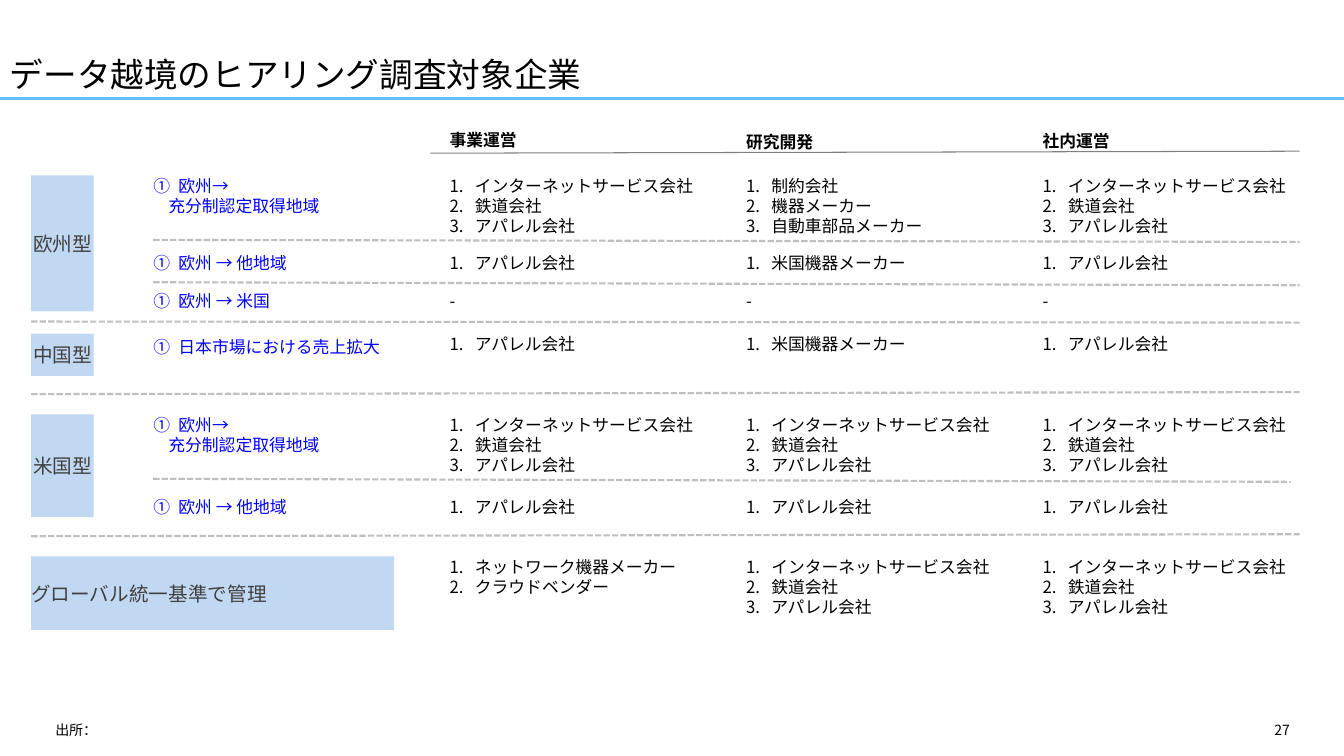
import pptx
import pptx.util
import pptx.dml.color
import pptx.enum.dml
import pptx.enum.shapes
import pptx.enum.text
from lxml import etree

PX = 9144  # 100 px to the inch
FONT = "Noto Sans CJK JP"
A = "{http://schemas.openxmlformats.org/drawingml/2006/main}"
ALIGN = pptx.enum.text.PP_ALIGN
ANCHOR = pptx.enum.text.MSO_ANCHOR

deck = pptx.Presentation()
deck.slide_width, deck.slide_height = 1333 * PX, 750 * PX
slide = deck.slides.add_slide(deck.slide_layouts[6])
shapes = slide.shapes


def tint(code):
    return pptx.dml.color.RGBColor.from_string(code)


def write(text, x, y, w, h, size=12, color="000000", bold=False, fill=None,
          align=ALIGN.LEFT, anchor=ANCHOR.TOP, pad=(0, 0), wrap=True,
          grow=False, bullet=None, spacing=None):
    area = [n * PX for n in (x, y, w, h)]
    if fill:
        box = shapes.add_shape(pptx.enum.shapes.MSO_SHAPE.RECTANGLE, *area)
        box.shadow.inherit = False
        box.fill.solid()
        box.fill.fore_color.rgb = tint(fill)
        box.line.fill.background()
    else:
        box = shapes.add_textbox(*area)
    frame = box.text_frame
    frame.word_wrap = wrap
    frame.vertical_anchor = anchor
    frame.margin_left = frame.margin_right = pad[0] * PX
    frame.margin_top = frame.margin_bottom = pad[1] * PX
    if grow:
        frame.auto_size = pptx.enum.text.MSO_AUTO_SIZE.SHAPE_TO_FIT_TEXT
    for i, words in enumerate(text.split("\n")):
        para = frame.paragraphs[0] if i == 0 else frame.add_paragraph()
        props = para._p.get_or_add_pPr()
        if bullet == "circleNumDbPlain" and i > 0:
            props.set("marL", str(15 * PX))  # second line of a label
        elif bullet:
            props.set("marL", str(25 * PX))
            props.set("indent", str(-25 * PX))
            etree.SubElement(props, A + "buFont", typeface="+mj-lt")
            etree.SubElement(props, A + "buAutoNum", type=bullet)
        para.alignment = align
        if spacing:
            para.line_spacing = spacing
        run = para.add_run()
        run.text = words
        run.font.size = pptx.util.Pt(size)
        run.font.bold = bold
        run.font.color.rgb = tint(color)
        run.font.name = FONT
        etree.SubElement(run._r.get_or_add_rPr(), A + "ea", typeface=FONT)


# Lines: title rule, header rule, row dividers
lines = [(0, 98, 1333, 98, "63C1FF", 2.25), (427, 152, 1289, 150, "808080", 0.75)]
for ends in [(152, 238, 1289, 240), (152, 280, 1289, 283), (31, 319, 1289, 320),
             (31, 391, 1289, 389), (152, 475, 1280, 478), (31, 532, 1289, 530)]:
    lines.append((*ends, "BFBFBF", 1.5))
for *ends, color, width in lines:
    rule = shapes.add_connector(pptx.enum.shapes.MSO_CONNECTOR.STRAIGHT,
                                *[n * PX for n in ends])
    rule.line.color.rgb = tint(color)
    rule.line.width = pptx.util.Pt(width)
    if color == "BFBFBF":
        rule.line.dash_style = pptx.enum.dml.MSO_LINE.SQUARE_DOT
    etree.SubElement(rule._element.spPr, A + "effectLst")

# Title and footer
write("データ越境のヒアリング調査対象企業", 0, 0, 1333, 99, size=24,
      anchor=ANCHOR.BOTTOM, pad=(10, 5), spacing=0.9)
write("出所：", 45, 711, 847, 24, size=10, pad=(10, 5))
write("27", 942, 711, 347, 24, size=10, pad=(10, 5), align=ALIGN.RIGHT)

# Column headers
cols = [446, 740, 1034]
for x, y, head in zip(cols, [129, 131, 130], ["事業運営", "研究開発", "社内運営"]):
    write(head, x, y, 67, 20, bold=True, wrap=False, grow=True)

# Type blocks
for name, y, w, h, align in [("欧州型", 174, 62, 135, ALIGN.CENTER),
                             ("中国型", 331, 62, 42, ALIGN.CENTER),
                             ("米国型", 411, 62, 102, ALIGN.CENTER),
                             ("グローバル統一基準で管理", 552, 360, 73, ALIGN.LEFT)]:
    write(name, 31, y, w, h, size=14, color="404040", fill="C1D8F2",
          align=align, anchor=ANCHOR.MIDDLE)

# Rows: top, label top, label, one list for each column
trio = "インターネットサービス会社\n鉄道会社\nアパレル会社"
wear = "アパレル会社"
gear = "米国機器メーカー"
zone = "欧州→\n充分制認定取得地域"
rest = "欧州 → 他地域"
rows = [
    (174, 174, zone, [trio, "制約会社\n機器メーカー\n自動車部品メーカー", trio]),
    (251, 251, rest, [wear, gear, wear]),
    (288, 288, "欧州 → 米国", ["-"] * 3),
    (331, 334, "日本市場における売上拡大", [wear, gear, wear]),
    (411, 411, zone, [trio] * 3),
    (493, 493, rest, [wear] * 3),
    (552, 552, None, ["ネットワーク機器メーカー\nクラウドベンダー", trio, trio]),
]
for top, side, label, cells in rows:
    if label:
        write(label, 152, side, 258, 20 * len(label.split("\n")), color="0000FF",
              bullet="circleNumDbPlain", grow=True)
    for x, cell in zip(cols, cells):
        write(cell, x, top, 258, 20 * len(cell.split("\n")), grow=True,
              bullet=None if cell == "-" else "arabicPeriod")

deck.save("out.pptx")
